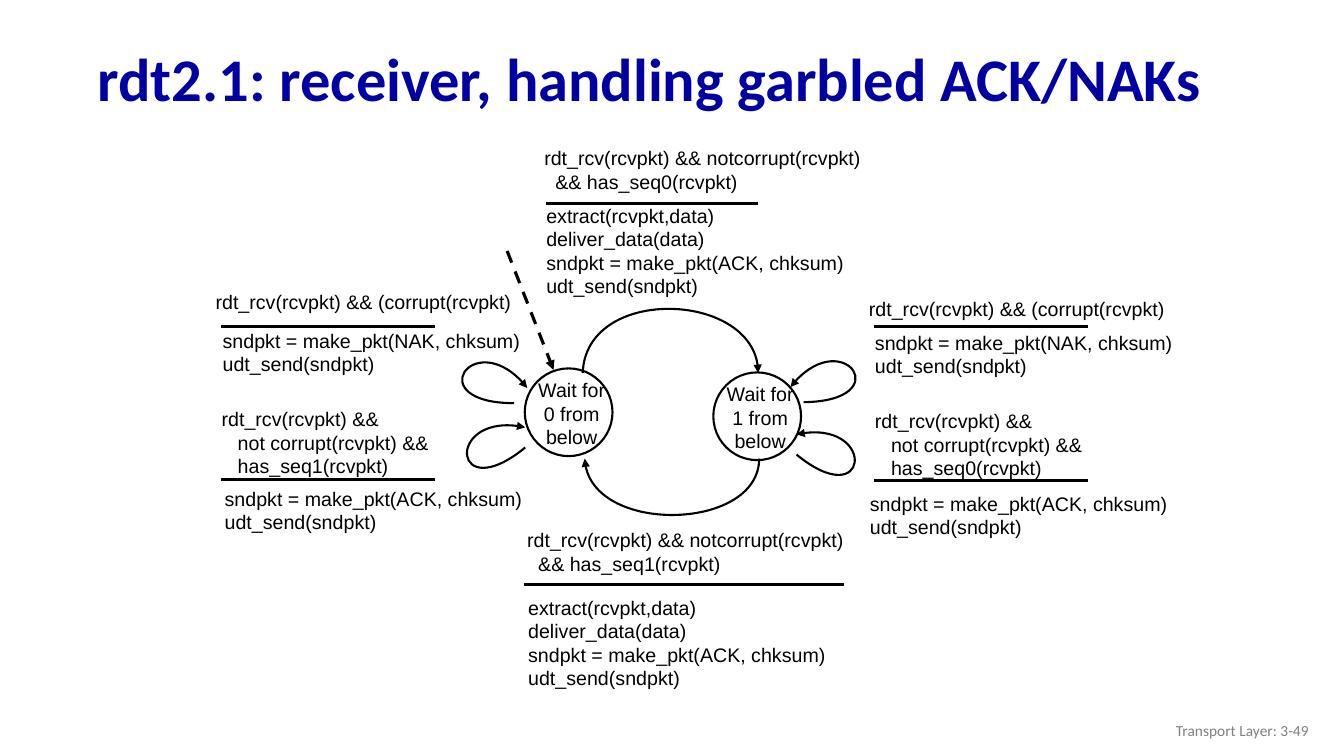
from lxml import etree
from pptx import Presentation
from pptx.dml.color import RGBColor
from pptx.enum.dml import MSO_LINE
from pptx.enum.shapes import MSO_CONNECTOR, MSO_SHAPE
from pptx.enum.text import MSO_ANCHOR, MSO_AUTO_SIZE, PP_ALIGN
from pptx.oxml.ns import qn
from pptx.util import Inches, Pt

BLACK = RGBColor(0x00, 0x00, 0x00)
WHITE = RGBColor(0xFF, 0xFF, 0xFF)
NAVY = RGBColor(0x00, 0x00, 0xA3)
GRAY = RGBColor(0x80, 0x80, 0x80)
DASH = MSO_LINE.DASH
STRAIGHT = MSO_CONNECTOR.STRAIGHT
OVAL = MSO_SHAPE.OVAL
MIDDLE = MSO_ANCHOR.MIDDLE
NO_AUTOFIT = MSO_AUTO_SIZE.NONE
LEFT, CENTER, RIGHT = PP_ALIGN.LEFT, PP_ALIGN.CENTER, PP_ALIGN.RIGHT

STATE_SIZE = 0.87
LINE_HEIGHT = 0.22
ARC_TEXT_WIDTH, LOOP_TEXT_WIDTH = 4, 3.3

# State centres
WAIT_0 = (5.64, 4.09)
WAIT_1 = (7.51, 4.13)

# Events and actions
CORRUPT = ["rdt_rcv(rcvpkt) && (corrupt(rcvpkt)"]
SEND_NAK = ["sndpkt = make_pkt(NAK, chksum)", "udt_send(sndpkt)"]
SEND_ACK = ["sndpkt = make_pkt(ACK, chksum)", "udt_send(sndpkt)"]
DELIVER = ["extract(rcvpkt,data)", "deliver_data(data)"] + SEND_ACK


def expected(seq):
    return ["rdt_rcv(rcvpkt) && notcorrupt(rcvpkt)", f"&& has_seq{seq}(rcvpkt)"]


def duplicate(seq):
    return ["rdt_rcv(rcvpkt) &&", "not corrupt(rcvpkt) &&", f"has_seq{seq}(rcvpkt)"]


# Labels: rule left, top, width; event, its offset and indent; action, its offset
LABELS = [
    (5.42, 2.02, 2.10, expected(0), (-0.12, -0.62), 0.11, DELIVER, (-0.10, -0.05), ARC_TEXT_WIDTH),
    (5.20, 5.80, 3.17, expected(1), (-0.07, -0.61), 0.11, DELIVER, (-0.06, 0.06), ARC_TEXT_WIDTH),
    (2.19, 3.24, 2.12, CORRUPT, (-0.15, -0.41), 0, SEND_NAK, (-0.08, -0.03), LOOP_TEXT_WIDTH),
    (2.19, 4.76, 2.12, duplicate(1), (-0.09, -0.77), 0.16, SEND_ACK, (-0.06, 0.02), LOOP_TEXT_WIDTH),
    (8.67, 3.24, 2.12, CORRUPT, (-0.15, -0.34), 0, SEND_NAK, (-0.09, -0.01), LOOP_TEXT_WIDTH),
    (8.67, 4.77, 2.12, duplicate(0), (-0.09, -0.76), 0.16, SEND_ACK, (-0.14, 0.06), LOOP_TEXT_WIDTH),
]

# Curves: state they leave, then four Bezier points relative to its centre
CURVES = [
    (WAIT_0, [(0.14, -0.39), (0.17, -1.25), (1.88, -1.20), (1.88, -0.39)]),
    (WAIT_1, [(0.02, 0.42), (0.02, 1.13), (-1.68, 1.18), (-1.71, 0.42)]),
    (WAIT_0, [(-0.54, -0.09), (-1.47, -0.09), (-0.92, -0.89), (-0.41, -0.24)]),
    (WAIT_0, [(-0.43, 0.35), (-1.15, 0.94), (-1.23, -0.02), (-0.43, 0.15)]),
    (WAIT_1, [(0.46, -0.14), (1.39, -0.15), (0.84, -0.94), (0.33, -0.29)]),
    (WAIT_1, [(0.39, 0.38), (1.11, 0.97), (1.19, 0.01), (0.39, 0.18)]),
]


def add_text(slide, left, top, width, height, lines, align=LEFT, indent=0,
             font_name="Arial", size=14, color=BLACK):
    box = slide.shapes.add_textbox(Inches(left), Inches(top), Inches(width), Inches(height))
    frame = box.text_frame
    frame.word_wrap = True
    frame.text = "\n".join(lines)
    for number, paragraph in enumerate(frame.paragraphs):
        if number and indent:
            paragraph._p.get_or_add_pPr().set("marL", str(Inches(indent)))
        paragraph.alignment = align
        font = paragraph.runs[0].font
        font.name, font.size = font_name, Pt(size)
        font.color.rgb = color
    return frame


def add_arrowhead(line):
    etree.SubElement(line._get_or_add_ln(), qn("a:tailEnd"), type="triangle")


def add_line(slide, start, end):
    points = [Inches(value) for value in (*start, *end)]
    connector = slide.shapes.add_connector(STRAIGHT, *points)
    connector.line.color.rgb = BLACK
    connector.line.width = Pt(2.25)
    etree.SubElement(connector._element.spPr, qn("a:effectLst"))
    return connector.line


def add_curve(slide, center, offsets):
    points = [(Inches(center[0] + dx), Inches(center[1] + dy)) for dx, dy in offsets]
    builder = slide.shapes.build_freeform(*points[0])
    builder.add_line_segments(points[1:], close=False)
    curve = builder.convert_to_shape()
    # Turn the three segments into one Bezier curve
    outline = curve._element.xpath(".//a:path")[0]
    bezier = etree.SubElement(outline, qn("a:cubicBezTo"))
    for segment in outline.findall(qn("a:lnTo")):
        bezier.append(segment[0])
        outline.remove(segment)
    curve.fill.background()
    curve.line.color.rgb = BLACK
    curve.line.width = Pt(1.5)
    curve.shadow.inherit = False
    add_arrowhead(curve.line)


def add_state(slide, center, seq):
    x, y = center
    circle = slide.shapes.add_shape(OVAL, Inches(x - STATE_SIZE / 2), Inches(y - STATE_SIZE / 2),
                                    Inches(STATE_SIZE), Inches(STATE_SIZE))
    circle.fill.solid()
    circle.fill.fore_color.rgb = WHITE
    circle.line.color.rgb = BLACK
    circle.line.width = Pt(1.5)
    circle.shadow.inherit = False
    add_text(slide, x - 0.41, y - 0.39, 0.88, 0.67,
             ["Wait for", f"{seq} from below"], CENTER)


def add_label(slide, left, top, width, event, event_offset, indent,
              action, action_offset, text_width):
    for lines, (dx, dy), margin in ((event, event_offset, indent), (action, action_offset, 0)):
        add_text(slide, left + dx, top + dy, text_width,
                 0.1 + LINE_HEIGHT * len(lines), lines, indent=margin)
    add_line(slide, (left, top), (left + width, top))


def add_title(slide, left, top, width, height):
    title = slide.shapes.title
    title.left, title.top = Inches(left), Inches(top)
    title.width, title.height = Inches(width), Inches(height)
    frame = title.text_frame
    frame.text = "rdt2.1: receiver, handling garbled ACK/NAKs"
    frame.auto_size = NO_AUTOFIT
    frame.vertical_anchor = MIDDLE
    heading = frame.paragraphs[0]
    heading.alignment = LEFT
    heading.line_spacing = 0.9
    font = heading.runs[0].font
    font.name, font.size, font.bold = "Calibri", Pt(43.2), True
    font.color.rgb = NAVY


def add_state_machine(slide):
    for seq, center in enumerate((WAIT_0, WAIT_1)):
        add_state(slide, center, seq)
    for center, offsets in CURVES:
        add_curve(slide, center, offsets)
    for label in LABELS:
        add_label(slide, *label)
    # Initial transition
    initial = add_line(slide, (5.03, 2.49), (5.49, 3.67))
    initial.dash_style = DASH
    add_arrowhead(initial)


def main():
    prs = Presentation()
    prs.slide_width, prs.slide_height = Inches(13.33), Inches(7.5)
    slide = prs.slides.add_slide(prs.slide_layouts[5])
    add_title(slide, 0.87, 0.32, 12.14, 0.98)
    add_state_machine(slide)
    # Footer
    footer = add_text(slide, 10.08, 7.05, 3, 0.4, ["Transport Layer: 3-49"], RIGHT,
                      font_name="Calibri", size=11, color=GRAY)
    footer.vertical_anchor = MIDDLE
    prs.save("out.pptx")


if __name__ == "__main__":
    main()
